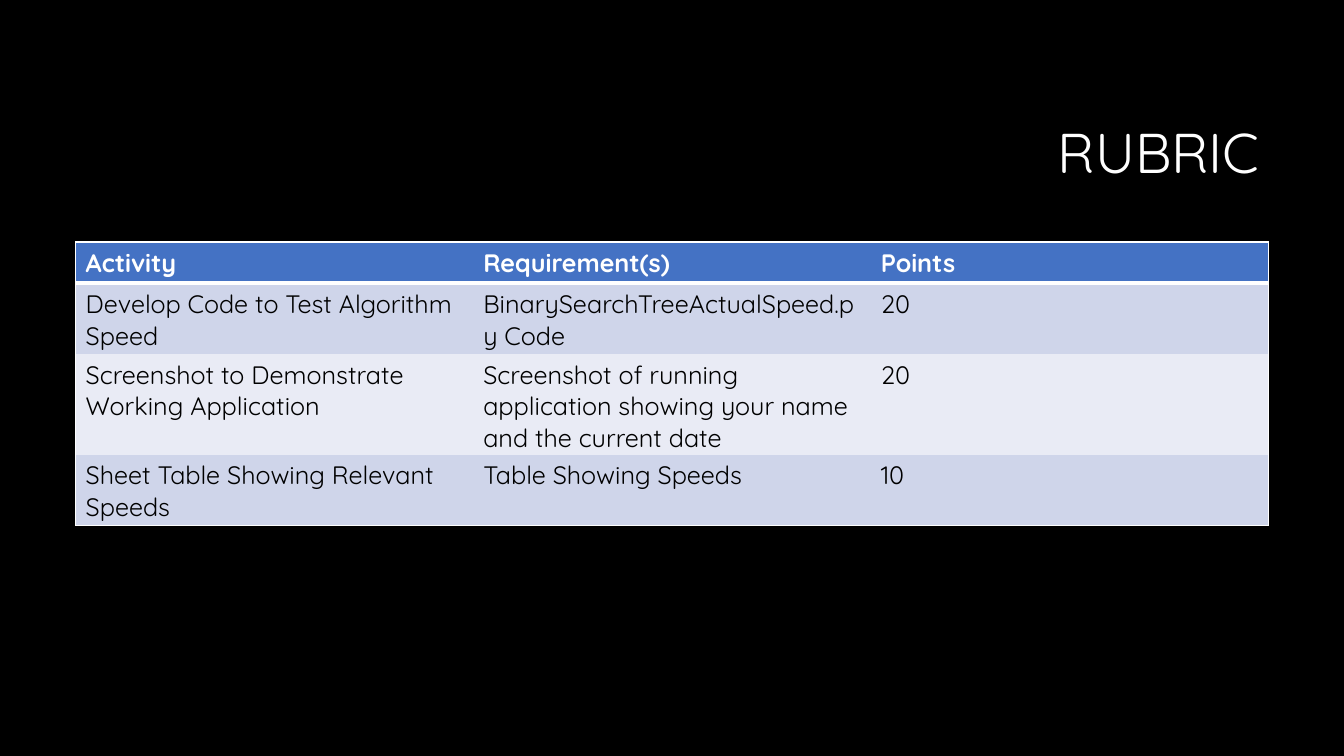
from dataclasses import dataclass

from lxml import etree
from pptx import Presentation
from pptx import util as u
from pptx.dml.color import RGBColor
from pptx.enum import text
from pptx.oxml import ns


@dataclass(frozen=True)
class Theme:
    font: str = "Quicksand"
    title_size: int = 40
    table_size: int = 18
    background: str = "000000"
    light: str = "FFFFFF"
    dark: str = "000000"
    header: str = "4472C4"
    bands: tuple = ("CFD5EA", "E9EBF5")
    thin: int = 1
    thick: int = 3


THEME = Theme()

RUBRIC = [
    ("Activity", "Requirement(s)", "Points"),
    ("Develop Code to Test Algorithm Speed", "BinarySearchTreeActualSpeed.py Code", "20"),
    ("Screenshot to Demonstrate Working Application",
     "Screenshot of running application showing your name and the current date", "20"),
    ("Sheet Table Showing Relevant Speeds", "Table Showing Speeds", "10"),
]


def add_span(para, words, size, color, bold=False):
    span = para.add_run()
    span.text = words
    span.font.name = THEME.font
    span.font.size = u.Pt(size)
    span.font.bold = bold
    span.font.color.rgb = RGBColor.from_string(color)


def add_title(page, words):
    box = page.shapes.add_textbox(u.Inches(3.17), u.Inches(0.84), u.Inches(9.42), u.Inches(1.41))
    frame = box.text_frame
    frame.word_wrap = True
    frame.vertical_anchor = text.MSO_ANCHOR.MIDDLE
    para = frame.paragraphs[0]
    para.alignment = text.PP_ALIGN.RIGHT
    para.line_spacing = 0.9
    add_span(para, words, THEME.title_size, THEME.light)


def set_border(cell, edge, width):
    properties = cell._tc.get_or_add_tcPr()
    line = etree.SubElement(properties, ns.qn(f"a:ln{edge}"), w=str(u.Pt(width)))
    if width:
        fill = etree.SubElement(line, ns.qn("a:solidFill"))
        etree.SubElement(fill, ns.qn("a:srgbClr"), val=THEME.light)
    else:
        etree.SubElement(line, ns.qn("a:noFill"))


def border_widths(row, column, last_row, last_column):
    horizontal = {0: THEME.thin, 1: THEME.thick, last_row + 1: THEME.thin}
    return {
        "L": THEME.thin if column == 0 else 0,
        "R": THEME.thin if column == last_column else 0,
        "T": horizontal.get(row, 0),
        "B": horizontal.get(row + 1, 0),
    }


def fill_cell(cell, words, row, borders):
    for edge, width in borders.items():
        set_border(cell, edge, width)
    is_header = row == 0
    color = THEME.header if is_header else THEME.bands[(row - 1) % 2]
    cell.fill.solid()
    cell.fill.fore_color.rgb = RGBColor.from_string(color)
    add_span(cell.text_frame.paragraphs[0], words, THEME.table_size,
             THEME.light if is_header else THEME.dark, bold=is_header)


def add_rubric_table(page, rows):
    row_count, column_count = len(rows), len(rows[0])
    row_height = u.Inches(0.41)
    table = page.shapes.add_table(row_count, column_count, u.Inches(0.75), u.Inches(2.4),
                                  u.Inches(11.83), row_height * row_count).table
    for row, entries in enumerate(rows):
        for column, words in enumerate(entries):
            borders = border_widths(row, column, row_count - 1, column_count - 1)
            fill_cell(table.cell(row, column), words, row, borders)


def main():
    deck = Presentation()
    deck.slide_width = u.Inches(13.33)
    deck.slide_height = u.Inches(7.5)
    page = deck.slides.add_slide(deck.slide_layouts[6])
    page.background.fill.solid()
    page.background.fill.fore_color.rgb = RGBColor.from_string(THEME.background)
    add_title(page, "RUBRIC")
    add_rubric_table(page, RUBRIC)
    deck.save("out.pptx")


if __name__ == "__main__":
    main()
